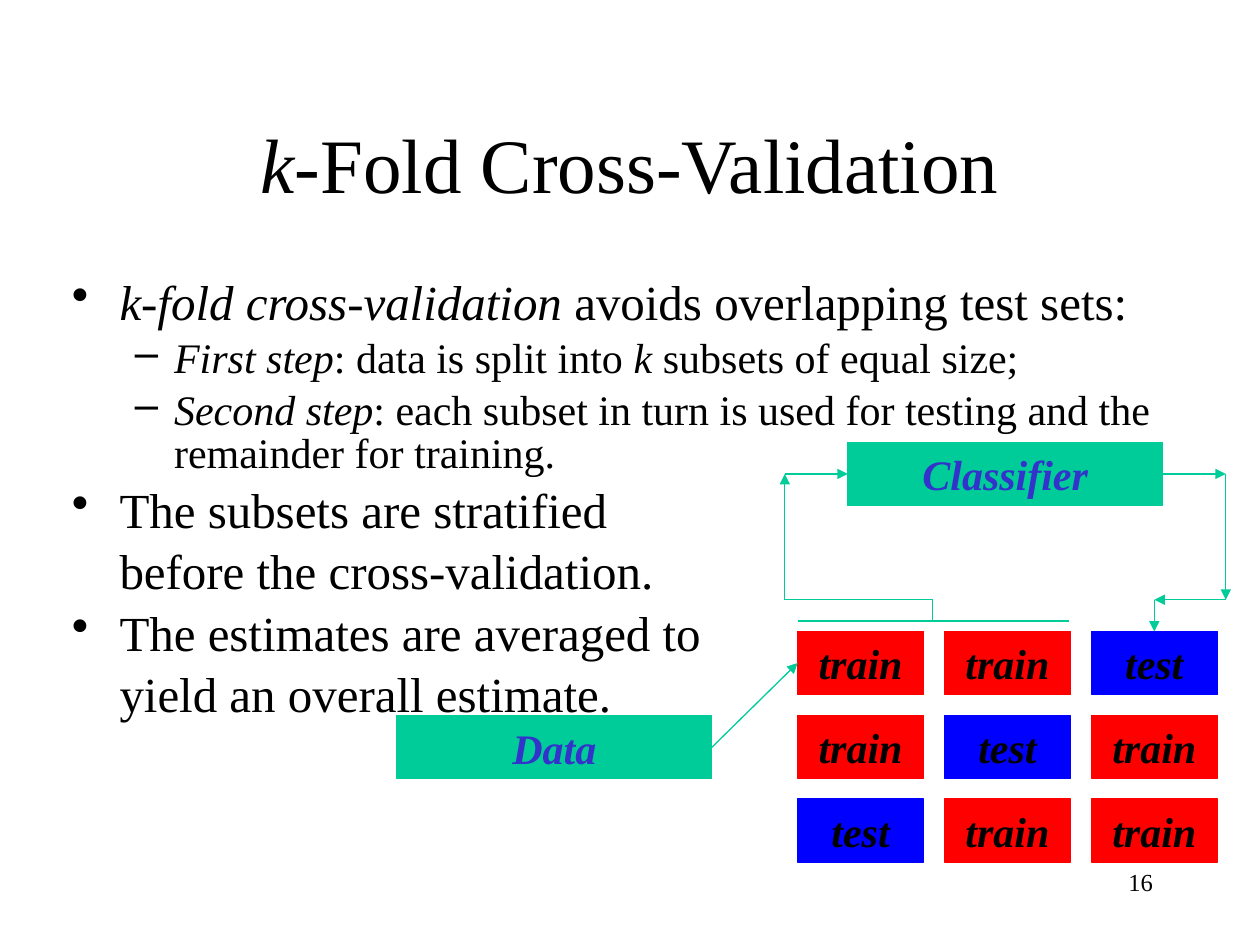
from lxml import etree
from pptx import Presentation
from pptx import util as u
from pptx.dml.color import RGBColor
from pptx.enum import shapes, text
from pptx.oxml.ns import qn

FONT = "Times New Roman"
COLORS = {"ink": "000000", "green": "00CC99", "label": "3333CC",
          "train": "FF0000", "test": "0000FF"}
BOX_W, BOX_H = 6.35, 1.27
CELL_W, CELL_H = 2.54, 1.27

# kind of paragraph: left margin, first-line indent, space before, size, bullet
STYLES = {
    "point": (0.96, -0.96, 6.5, 28, "•"),
    "step": (2.06, -0.79, 5.2, 24, "–"),
    "continued": (0.96, 0, 6.5, 28, None),
}
BODY = [
    ("point", [("k-fold cross-validation", True),
               (" avoids overlapping test sets:", False)]),
    ("step", [("First step", True), (": data is split into ", False),
              ("k", True), (" subsets of equal size;", False)]),
    ("step", [("Second step", True),
              (": each subset in turn is used for testing and the remainder "
               "for training.", False)]),
    ("point", [("The subsets are stratified", False)]),
    ("continued", [("before the cross-validation.", False)]),
    ("point", [("The estimates are averaged to", False)]),
    ("continued", [("yield an overall estimate.", False)]),
]
FOLDS = [("train", "train", "test"),
         ("train", "test", "train"),
         ("test", "train", "train")]


def rgb(name):
    return RGBColor.from_string(COLORS[name])


def add_run(paragraph, words, size, italic=False, bold=False, color="ink"):
    run = paragraph.add_run()
    run.text = words
    font = run.font
    font.name, font.size = FONT, u.Pt(size)
    font.italic, font.bold = italic, bold
    font.color.rgb = rgb(color)


def add_frame(slide, box):
    """Add a wrapping text box and return its text frame."""
    frame = slide.shapes.add_textbox(*map(u.Cm, box)).text_frame
    frame.word_wrap = True
    return frame


def add_title(slide, box):
    frame = add_frame(slide, box)
    frame.vertical_anchor = text.MSO_ANCHOR.MIDDLE
    heading = frame.paragraphs[0]
    heading.alignment = text.PP_ALIGN.CENTER
    add_run(heading, "k", 44, italic=True)
    add_run(heading, "-Fold Cross-Validation", 44)


def set_bullet(paragraph, margin, indent, bullet):
    props = paragraph._p.get_or_add_pPr()
    props.set("marL", str(u.Cm(margin)))
    props.set("indent", str(u.Cm(indent)))
    if bullet:
        etree.SubElement(props, qn("a:buChar")).set("char", bullet)
    else:
        etree.SubElement(props, qn("a:buNone"))


def add_body(slide, box):
    frame = add_frame(slide, box)
    for index, (kind, runs) in enumerate(BODY):
        margin, indent, before, size, bullet = STYLES[kind]
        paragraph = frame.add_paragraph() if index else frame.paragraphs[0]
        set_bullet(paragraph, margin, indent, bullet)
        paragraph.line_spacing = 0.85
        if index:
            paragraph.space_before = u.Pt(before)
        for words, italic in runs:
            add_run(paragraph, words, size, italic)


def add_block(slide, box, label, fill, color):
    block = slide.shapes.add_shape(shapes.MSO_SHAPE.RECTANGLE, *map(u.Cm, box))
    block.shadow.inherit = False
    block.fill.solid()
    block.fill.fore_color.rgb = rgb(fill)
    block.line.color.rgb = rgb(fill)
    block.line.width = u.Pt(0.75)
    frame = block.text_frame
    frame.vertical_anchor = text.MSO_ANCHOR.MIDDLE
    caption = frame.paragraphs[0]
    caption.alignment = text.PP_ALIGN.CENTER
    add_run(caption, label, 24, italic=True, bold=True, color=color)
    return block


def add_line(slide, start, end, arrow=True):
    line = slide.shapes.add_connector(
        shapes.MSO_CONNECTOR.STRAIGHT, *map(u.Cm, (*start, *end)))
    line.line.color.rgb = rgb("green")
    line.line.width = u.Pt(0.75)
    if arrow:
        tail = etree.SubElement(line.line._get_or_add_ln(), qn("a:tailEnd"))
        tail.set("type", "triangle")
    etree.SubElement(line._element.spPr, qn("a:effectLst"))
    return line


def add_folds(slide, box):
    """Spread the cells evenly over the box and return them as rows."""
    left, top, width, height = box
    step_x = (width - CELL_W) / (len(FOLDS[0]) - 1)
    step_y = (height - CELL_H) / (len(FOLDS) - 1)
    return [[add_block(slide, (left + col * step_x, top + row * step_y,
                               CELL_W, CELL_H), role, role, "ink")
             for col, role in enumerate(roles)]
            for row, roles in enumerate(FOLDS)]


def add_diagram(slide, box):
    left, top, width, height = box
    right = left + width
    classifier = add_block(slide, (left + 9.09, top, BOX_W, BOX_H),
                           "Classifier", "green", "label")
    data = add_block(slide, (left, top + 5.51, BOX_W, BOX_H),
                     "Data", "green", "label")
    folds_left, folds_top = left + 8.08, top + 3.81
    folds = add_folds(slide, (folds_left, folds_top, 8.46, height - 3.81))

    data_arrow = add_line(slide, (left + BOX_W, top + 6.15),
                          (folds_left, folds_top + CELL_H / 2))
    data_arrow.begin_connect(data, 3)
    data_arrow.end_connect(folds[0][0], 1)

    loop_top, loop_bottom = top + BOX_H / 2, top + 3.17
    bracket, stem, riser = top + 3.6, left + 10.8, left + 7.82
    add_line(slide, (folds_left, bracket), (left + 13.54, bracket), arrow=False)
    add_line(slide, (stem, loop_bottom), (stem, bracket), arrow=False)
    add_line(slide, (riser, loop_bottom), (stem, loop_bottom), arrow=False)
    add_line(slide, (riser, loop_bottom), (riser, loop_top))
    add_line(slide, (riser, loop_top),
             (left + 9.09, loop_top)).end_connect(classifier, 1)

    test_x = folds_left + 8.46 - CELL_W / 2
    add_line(slide, (left + 9.09 + BOX_W, loop_top),
             (right, loop_top)).begin_connect(classifier, 3)
    add_line(slide, (right, loop_top), (right, loop_bottom))
    add_line(slide, (right, loop_bottom), (test_x, loop_bottom))
    add_line(slide, (test_x, loop_bottom),
             (test_x, folds_top)).end_connect(folds[0][2], 0)


def add_page_number(slide, box):
    number = add_frame(slide, box).paragraphs[0]
    number.alignment = text.PP_ALIGN.RIGHT
    add_run(number, "16", 14)


def main():
    deck = Presentation()
    deck.slide_width, deck.slide_height = u.Cm(25.4), u.Cm(19.05)
    slide = deck.slides.add_slide(deck.slide_layouts[6])
    add_title(slide, (1.9, 1.7, 21.6, 3.18))
    add_body(slide, (1.2, 5.53, 23.5, 11.43))
    add_diagram(slide, (8, 8.92, 16.71, 8.46))
    add_page_number(slide, (18.21, 17.35, 5.28, 1.27))
    deck.save("out.pptx")


if __name__ == "__main__":
    main()
